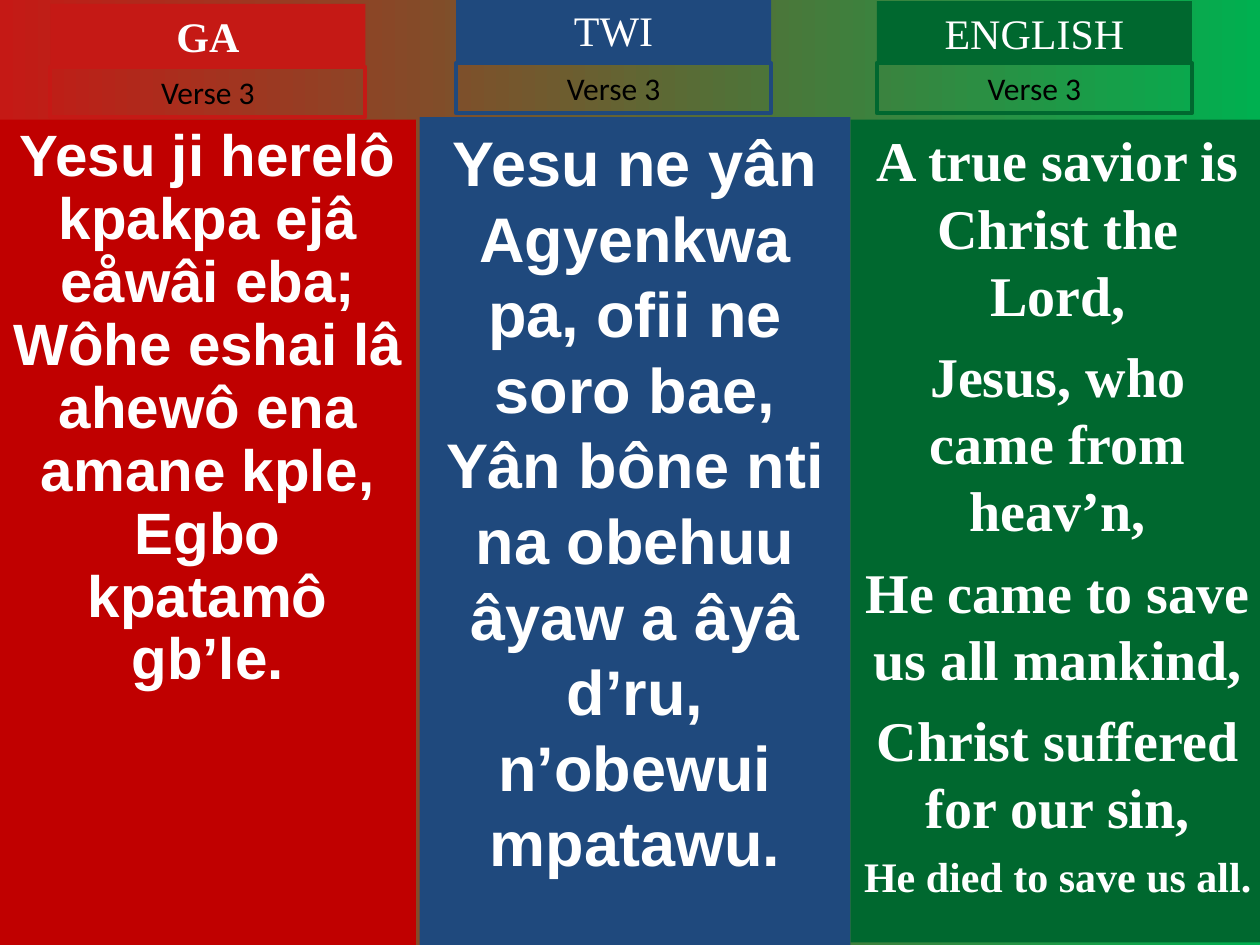
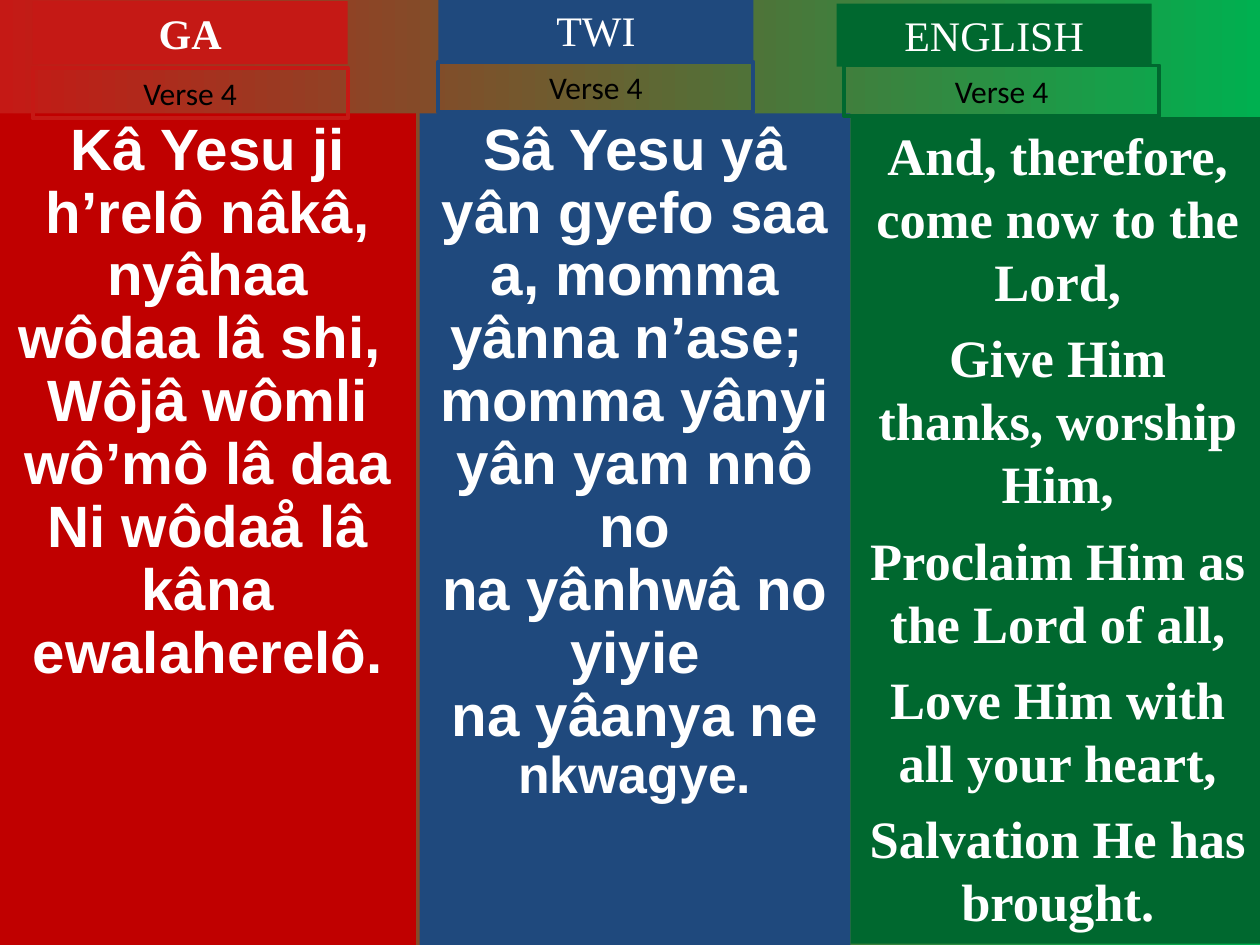
from dataclasses import dataclass

from lxml import etree
from pptx import Presentation
from pptx.dml.color import RGBColor
from pptx.enum.shapes import MSO_SHAPE
from pptx.enum.text import MSO_ANCHOR, MSO_AUTO_SIZE, PP_ALIGN
from pptx.oxml.ns import qn
from pptx.util import Inches, Pt

RECT = MSO_SHAPE.RECTANGLE
TOP = MSO_ANCHOR.TOP
CENTER = PP_ALIGN.CENTER
NO_FIT = MSO_AUTO_SIZE.NONE

RED = RGBColor(0xC5, 0x19, 0x15)
DEEP_RED = RGBColor(0xC0, 0x00, 0x00)
BLUE = RGBColor(0x1F, 0x49, 0x7D)
GREEN = RGBColor(0x00, 0x68, 0x2F)
BRIGHT_GREEN = RGBColor(0x00, 0xB0, 0x50)
WHITE = RGBColor(0xFF, 0xFF, 0xFF)
BLACK = RGBColor(0x00, 0x00, 0x00)

SLIDE_W, SLIDE_H = Inches(10), Inches(7.5)
COLS, ROWS = 100, 75
LABEL_W, HEADING_H, VERSE_H = 25, 5, 4


@dataclass(frozen=True)
class Language:
    """What one language column keeps on every slide."""
    name: str
    accent: RGBColor
    panel: RGBColor
    left: float
    width: float
    font: str
    bold_name: bool = False


@dataclass(frozen=True)
class Style:
    """Look of a block of text."""
    font: str
    size: float
    color: RGBColor = WHITE
    bold: bool = False
    spacing: float = 1.0
    before: float = 0


@dataclass(frozen=True)
class Stanza:
    """Lyrics and label places of one language on one slide."""
    lines: tuple[str, ...]
    size: float
    top: float
    height: float
    heading_at: tuple[float, float]
    verse_at: tuple[float, float]
    spacing: float = 1.0
    before: float = 0
    ending: str = ""
    ending_size: float = 0
    ending_before: float = 0


LANGUAGES = (
    Language("GA", RED, DEEP_RED, 0, 33, "Arial", True),
    Language("TWI", BLUE, BLUE, 33.3, 34.2, "Arial"),
    Language("ENGLISH", GREEN, GREEN, 67.5, 32.9, "Times New Roman"),
)

VERSES = {
    "Verse 3": (
        Stanza(("Yesu ji herelô kpakpa ejâ eåwâi eba;",
                "Wôhe eshai lâ ahewô ena amane kple,",
                "Egbo kpatamô gb’le."),
               33.3, 9.5, 65.5, (4, 0.3), (4, 5.3), spacing=0.9),
        Stanza(("Yesu ne yân Agyenkwa pa, ofii ne soro bae,",
                "Yân bône nti na obehuu âyaw a âyâ d’ru,",
                "n’obewui mpatawu."),
               36, 9.3, 65.7, (36.2, -0.1), (36.2, 5)),
        Stanza(("A true savior is Christ the Lord,",
                "Jesus, who came from heav’n,",
                "He came to save us all mankind,",
                "Christ suffered for our sin,",
                ""),
               32, 9.5, 65.3, (69.6, 0.1), (69.6, 5), before=8,
               ending="He died to save us all.", ending_size=24, ending_before=6),
    ),
    "Verse 4": (
        Stanza(("Kâ Yesu ji h’relô nâkâ, nyâhaa wôdaa lâ shi, ",
                "Wôjâ wômli wô’mô lâ daa",
                "Ni wôdaå lâ kâna ewalaherelô."),
               33.3, 9, 66, (2.6, 0.1), (2.6, 5.4), spacing=0.9),
        Stanza(("Sâ Yesu yâ yân gyefo saa a, momma yânna n’ase; ",
                "momma yânyi yân yam nnô no",
                "na yânhwâ no yiyie",
                "na yâanya ne "),
               33.3, 9, 66, (34.8, -0.1), (34.8, 4.9), spacing=0.9,
               ending="nkwagye.", ending_size=29.6),
        Stanza(("And, therefore, come now to the Lord,",
                "Give Him thanks, worship Him,",
                "Proclaim Him as the Lord of all,",
                "Love Him with all your heart,",
                "Salvation He has brought."),
               30, 9.3, 65.6, (66.4, 0.3), (67, 5.2), before=7.5),
    ),
}


def place(sp, left: float, top: float, width: float, height: float) -> None:
    """Set a shape on the grid of columns and rows."""
    sp.left, sp.width = (int(SLIDE_W * n / COLS) for n in (left, width))
    sp.top, sp.height = (int(SLIDE_H * n / ROWS) for n in (top, height))


def paint(sp, fill: RGBColor | None, line: RGBColor | None = None) -> None:
    """Give a shape a plain fill or a plain outline."""
    if fill is None:
        sp.fill.background()
    else:
        sp.fill.solid()
        sp.fill.fore_color.rgb = fill
    if line is None:
        sp.line.fill.background()
    else:
        sp.line.color.rgb = line
        sp.line.width = Pt(2.25)
    sp.shadow.inherit = False


def add_run(p, text: str, style: Style, size: float) -> None:
    """Append one formatted run to a paragraph."""
    r = p.add_run()
    r.text = text
    r.font.name, r.font.size = style.font, Pt(size)
    r.font.bold, r.font.color.rgb = style.bold, style.color


def write(sp, lines: tuple[str, ...], style: Style):
    """Fill a shape with centred, unbulleted paragraphs; return the last one."""
    tf = sp.text_frame
    tf.word_wrap, tf.auto_size, tf.vertical_anchor = True, NO_FIT, TOP
    tf.margin_left = tf.margin_right = Inches(0.1)
    tf.margin_top = tf.margin_bottom = Inches(0.05)
    for i, line in enumerate(lines):
        p = tf.add_paragraph() if i else tf.paragraphs[0]
        p.alignment, p.line_spacing = CENTER, style.spacing
        p.space_before = Pt(style.before if i else 0)
        p_pr = p._p.get_or_add_pPr()
        p_pr.set("marL", "0")
        p_pr.set("indent", "0")
        etree.SubElement(p_pr, qn("a:buNone"))
        if line:
            add_run(p, line, style, style.size)
    return p


def add_box(s):
    """Add a rectangle to be placed and painted."""
    return s.shapes.add_shape(RECT, 0, 0, 0, 0)


def add_panel(sp, lang: Language, stanza: Stanza) -> None:
    """Draw the lyrics panel of one language."""
    place(sp, lang.left, stanza.top, lang.width, stanza.height)
    paint(sp, lang.panel)
    style = Style(lang.font, stanza.size, bold=True,
                  spacing=stanza.spacing, before=stanza.before)
    p = write(sp, stanza.lines, style)
    if stanza.ending:
        add_run(p, stanza.ending, style, stanza.ending_size)
    if stanza.ending_before:
        p.space_before = Pt(stanza.ending_before)


def add_labels(s, heading, lang: Language, stanza: Stanza, verse: str) -> None:
    """Draw the language heading and the verse label under it."""
    place(heading, *stanza.heading_at, LABEL_W, HEADING_H)
    paint(heading, lang.accent)
    write(heading, (lang.name,), Style("Times New Roman", 24, bold=lang.bold_name))
    label = add_box(s)
    place(label, *stanza.verse_at, LABEL_W, VERSE_H)
    paint(label, None, lang.accent)
    write(label, (verse,), Style("Calibri", 18, BLACK))


def add_verse_slide(prs, verse: str, stanzas: tuple[Stanza, ...]) -> None:
    """Build one slide with a verse in every language."""
    s = prs.slides.add_slide(prs.slide_layouts.get_by_name("Two Content"))
    fill = s.background.fill
    fill.gradient()
    fill.gradient_angle = 0
    for stop, color in zip(fill.gradient_stops, (RED, BRIGHT_GREEN)):
        stop.color.rgb = color
    title, ga_body, twi_body = s.placeholders
    panels = (ga_body, twi_body, add_box(s))
    headings = (title, add_box(s), add_box(s))
    for sp, lang, stanza in zip(panels, LANGUAGES, stanzas):
        add_panel(sp, lang, stanza)
    for sp, lang, stanza in zip(headings, LANGUAGES, stanzas):
        add_labels(s, sp, lang, stanza, verse)


def main() -> None:
    """Build the deck and save it."""
    prs = Presentation()
    prs.slide_width, prs.slide_height = SLIDE_W, SLIDE_H
    for verse, stanzas in VERSES.items():
        add_verse_slide(prs, verse, stanzas)
    prs.save("out.pptx")


if __name__ == "__main__":
    main()
